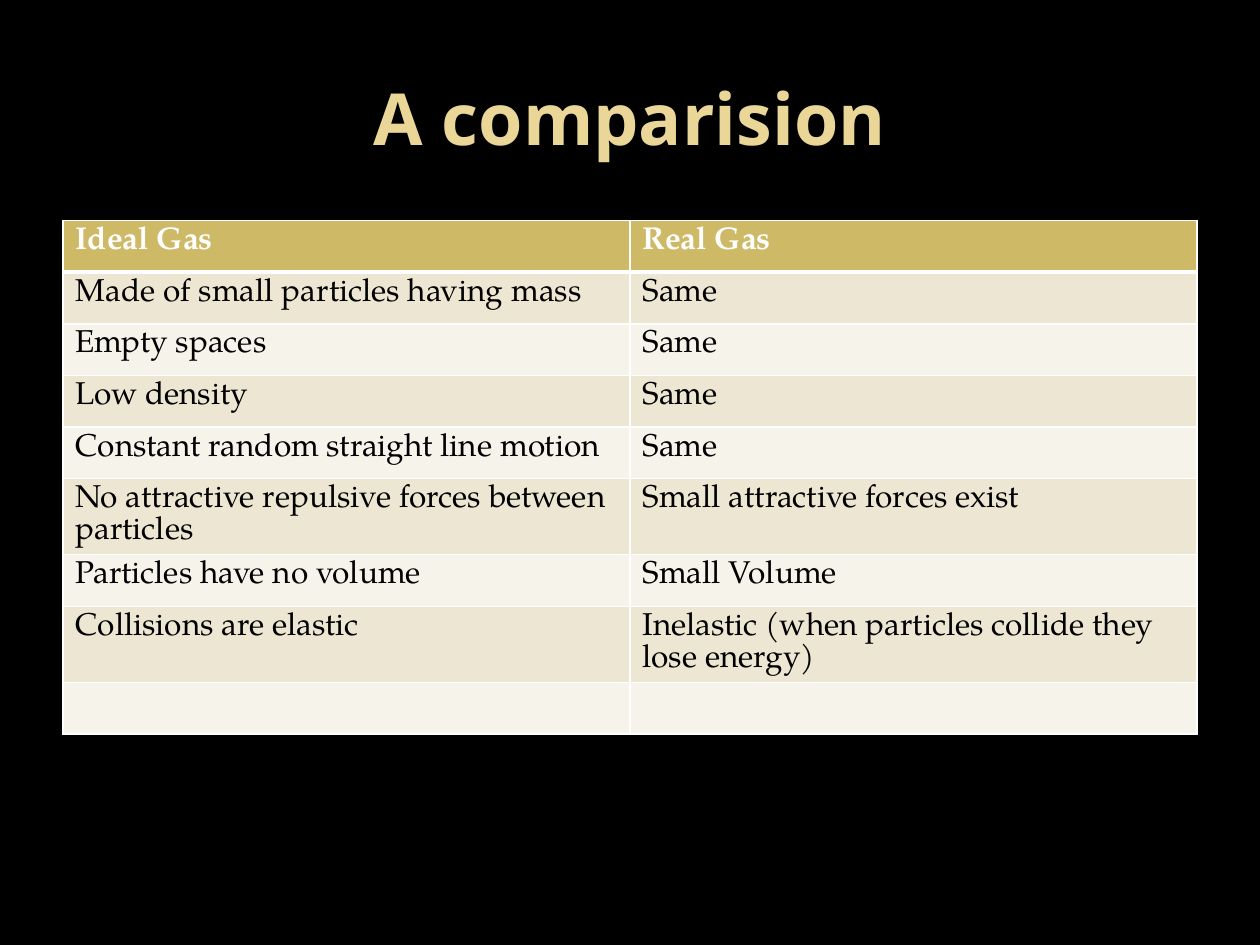
from lxml import etree
from pptx import Presentation
from pptx.dml.color import RGBColor
from pptx.enum import text
from pptx.oxml.ns import qn
from pptx.util import Inches, Pt

BLACK = RGBColor(0x00, 0x00, 0x00)
WHITE = RGBColor(0xFF, 0xFF, 0xFF)
PALE_GOLD = RGBColor(0xEA, 0xD6, 0x96)
GOLD = RGBColor(0xCE, 0xB9, 0x66)
BANDS = (RGBColor(0xED, 0xE6, 0xD3), RGBColor(0xF6, 0xF3, 0xEA))

TITLE_FONT = "Noto Sans"
TABLE_FONT = "TeX Gyre Pagella"

GASES = [
    ("Ideal Gas", "Real Gas"),
    ("Made of small particles having mass", "Same"),
    ("Empty spaces", "Same"),
    ("Low density", "Same"),
    ("Constant random straight line motion", "Same"),
    ("No attractive repulsive forces between particles",
     "Small attractive forces exist"),
    ("Particles have no volume", "Small Volume"),
    ("Collisions are elastic",
     "Inelastic (when particles collide they lose energy)"),
    ("", ""),
]


def write(frame, words, *, font, size, color, bold=False,
          align=text.PP_ALIGN.LEFT):
    para = frame.paragraphs[0]
    para.alignment = align
    para.font.size = Pt(size)
    if words:
        span = para.add_run()
        span.text = words
        span.font.name = font
        span.font.size = Pt(size)
        span.font.bold = bold
        span.font.color.rgb = color


def set_borders(cell, color, bottom):
    """Rule all four sides 1 pt wide, except the bottom one."""
    properties = cell._tc.get_or_add_tcPr()
    for side, width in (("L", 1), ("R", 1), ("T", 1), ("B", bottom)):
        line = etree.SubElement(properties, qn(f"a:ln{side}"), w=str(Pt(width)))
        fill = etree.SubElement(line, qn("a:solidFill"))
        etree.SubElement(fill, qn("a:srgbClr"), val=str(color))


def place_title(page, words, left, top, width, height):
    title = page.shapes.title
    title.left, title.top, title.width, title.height = left, top, width, height
    title.text_frame.vertical_anchor = text.MSO_ANCHOR.MIDDLE
    write(title.text_frame, words, font=TITLE_FONT, size=41, color=PALE_GOLD,
          bold=True, align=text.PP_ALIGN.CENTER)


def place_table(page, rows, left, top, width, row_height):
    columns = len(rows[0])
    table = page.shapes.add_table(len(rows), columns, left, top, width,
                                  row_height * len(rows)).table
    for row_index, row in enumerate(rows):
        header = row_index == 0
        for column_index, words in enumerate(row):
            cell = table.cell(row_index, column_index)
            # The rule under the header belongs to both rows that meet there.
            set_borders(cell, WHITE, bottom=3 if header else 1)
            if row_index == 1:
                cell._tc.tcPr.find(qn("a:lnT")).set("w", str(Pt(3)))
            cell.fill.solid()
            cell.fill.fore_color.rgb = GOLD if header else BANDS[(row_index - 1) % 2]
            write(cell.text_frame, words, font=TABLE_FONT, size=18,
                  color=WHITE if header else BLACK, bold=header)


def main():
    deck = Presentation()
    deck.slide_width, deck.slide_height = Inches(10), Inches(7.5)
    page = deck.slides.add_slide(deck.slide_layouts.get_by_name("Title Only"))
    page.background.fill.solid()
    page.background.fill.fore_color.rgb = BLACK

    left, width = Inches(0.5), Inches(9)
    place_title(page, "A comparision", left, Inches(0.3), width, Inches(1.25))
    place_table(page, GASES, left, Inches(1.75), width, Inches(0.41))
    deck.save("out.pptx")


if __name__ == "__main__":
    main()
